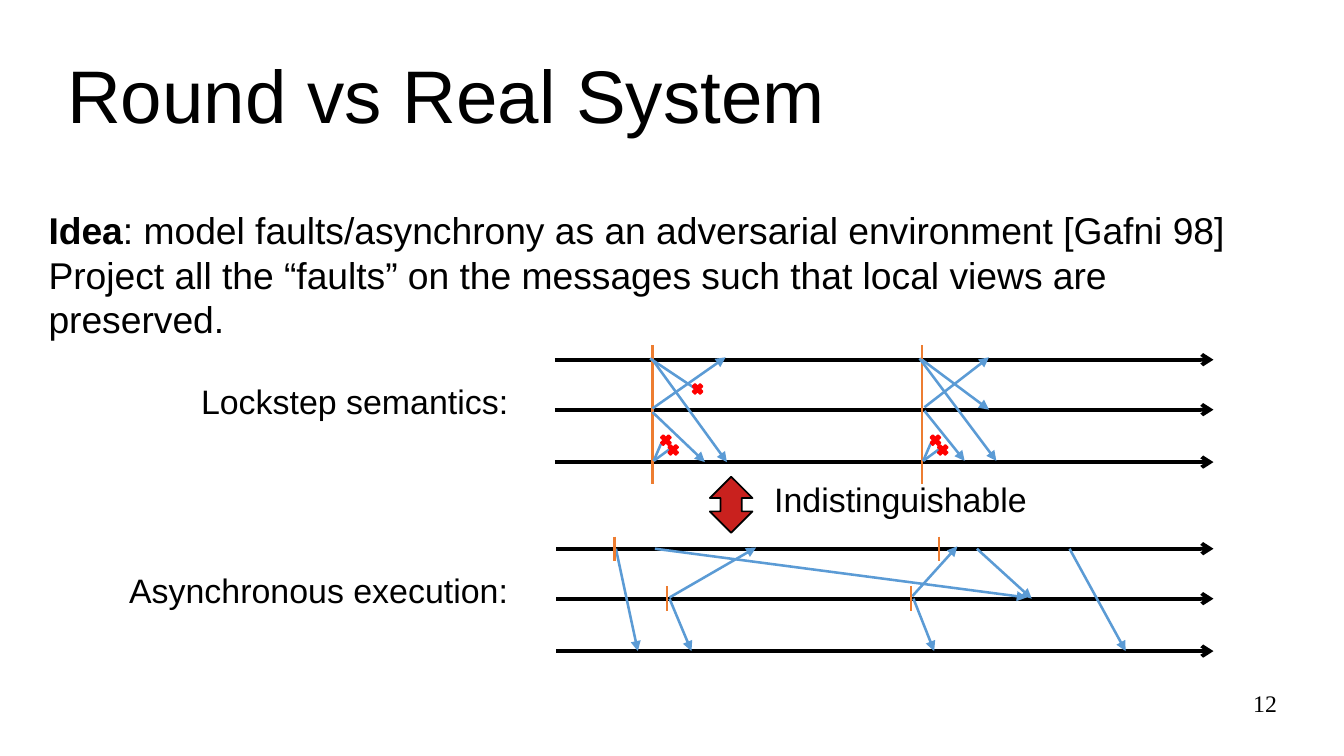
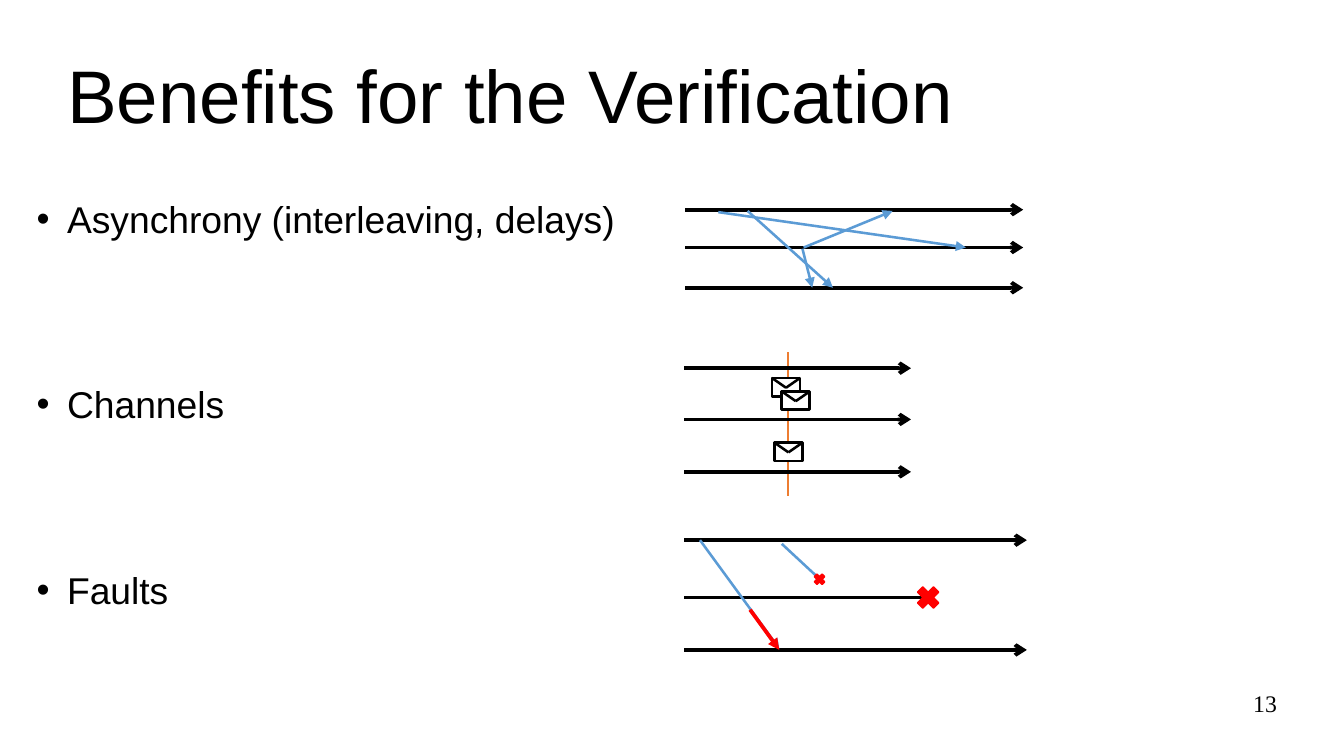
"""Build two slides on round-based models of distributed systems."""

from typing import Iterable, NamedTuple

import pptx
import pptx.dml.color
import pptx.enum.shapes
import pptx.enum.text
import pptx.util
from lxml import etree
from pptx.oxml.ns import qn

CELL = 0.1
COLUMNS, ROWS = 110.2, 62
BLACK, WHITE = "000000", "FFFFFF"
BLUE, ORANGE, RED, DARK_RED = "5B9BD5", "ED7D31", "FF0000", "C9211E"
SANS, SERIF = "Arial", "Times New Roman"
SHAPES = pptx.enum.shapes.MSO_SHAPE
ALIGN = pptx.enum.text.PP_ALIGN
TITLE_ONLY, TITLE_AND_BODY = 5, 1


class Stroke(NamedTuple):
    color: str
    width: float
    head: str = ""


class Segment(NamedTuple):
    x1: float
    y1: float
    x2: float
    y2: float


class Area(NamedTuple):
    left: float
    top: float
    width: float
    height: float


class Timelines(NamedTuple):
    left: float
    right: float
    rows: tuple[float, ...]


class Label(NamedTuple):
    text: str
    area: Area


TIMELINE = Stroke(BLACK, 2.25, "arrow")
CRASHED_TIMELINE = Stroke(BLACK, 2.25)
MESSAGE = Stroke(BLUE, 1.5, "triangle")
LOST_MESSAGE = Stroke(BLUE, 1.5)
LATE_MESSAGE = Stroke(RED, 2.25, "triangle")
ROUND_MARK = Stroke(ORANGE, 1.5)
ENVELOPE = Stroke(BLACK, 1.5)

TITLE_AREA = Area(5.5, 2.5, 99.2, 10.4)
NUMBER_AREA = Area(79, 56.5, 25.7, 4.3)
IDEA_AREA = Area(3, 16.5, 100, 11.2)
BENEFITS_AREA = Area(2, 15.6, 50, 41.7)
CROSS_SIZE = 1.2

IDEA = (
    "Idea: model faults/asynchrony as an adversarial environment [Gafni 98]",
    "Project all the “faults” on the messages such that local views are preserved.",
)
BENEFITS = ("Asynchrony (interleaving, delays)", "Channels", "Faults")
LABELS = (
    Label("Lockstep semantics:", Area(15.5, 30.7, 27.2, 4.3)),
    Label("Asynchronous execution:", Area(9.6, 46.2, 33.1, 4.3)),
    Label("Indistinguishable", Area(62.5, 38.8, 22.7, 4.3)),
)

LOCKSTEP = Timelines(45.5, 99.5, (29.5, 33.6, 37.9))
EXECUTION = Timelines(45.6, 99.5, (45, 49.1, 53.4))
ROUND_STARTS = (53.5, 75.6)
LOCKSTEP_MESSAGES = (
    Segment(53.5, 29.5, 59.6, 37.9),
    Segment(53.5, 33.5, 59.5, 29.3),
    Segment(53.5, 33.8, 57.8, 37.9),
    Segment(75.4, 29.4, 81.7, 37.8),
    Segment(75.8, 33.4, 81.1, 29.3),
    Segment(75.8, 33.7, 79.1, 37.8),
    Segment(75.6, 29.5, 81.1, 33.6),
)
LOCKSTEP_LOST = Segment(53.3, 29.4, 57.5, 32.2)
EXECUTION_MESSAGES = (
    Segment(50.5, 45, 52.3, 53.4),
    Segment(53.7, 45, 84.2, 49),
    Segment(54.9, 49.1, 56.7, 53.4),
    Segment(54.9, 49, 62, 44.9),
    Segment(74.9, 49.1, 76.6, 53.4),
    Segment(74.8, 48.9, 78.5, 44.8),
    Segment(80.1, 45, 84.6, 49.1),
    Segment(87.7, 45, 92.3, 53.4),
)
LOCAL_ROUND_STARTS = ((50.4, 45), (54.7, 49.1), (77, 45), (74.7, 49.1))

DELAYS = Timelines(56.2, 83.9, (17.2, 20.3, 23.6))
CHANNELS = Timelines(56.1, 74.7, (30.2, 34.4, 38.7))
FAULTS = Timelines(56.1, 84.2, (44.3, 53.3))
DELAYED_MESSAGES = (
    Segment(61.3, 17.3, 68.3, 23.6),
    Segment(58.9, 17.4, 79.2, 20.3),
    Segment(65.8, 20.4, 66.6, 23.6),
    Segment(65.9, 20.3, 73.2, 17.3),
)
ENVELOPE_CORNERS = ((63.3, 31), (64.1, 32.1), (63.5, 36.3))


def length(cells: float) -> int:
    """Turn a count of grid cells into a slide length."""
    return pptx.util.Inches(cells * CELL)


def paint(color_format, color: str) -> None:
    """Set a colour from a hex string."""
    color_format.rgb = pptx.dml.color.RGBColor.from_string(color)


def place(shape, area: Area) -> None:
    """Move a shape to an area of the grid."""
    shape.left, shape.top, shape.width, shape.height = map(length, area)


def style_font(font, size: float, name: str = SANS) -> None:
    """Set the size, typeface and black colour of a font."""
    font.size = pptx.util.Pt(size)
    font.name = name
    paint(font.color, BLACK)


def clear_margins(frame) -> None:
    """Remove the inner margins of a text frame."""
    frame.margin_left = frame.margin_right = frame.margin_top = frame.margin_bottom = 0


def add_text(page, text: str, area: Area, size: float, name: str = SANS, wrap: bool = True):
    """Add a text box and return its text frame."""
    frame = page.shapes.add_textbox(*map(length, area)).text_frame
    frame.text = text
    frame.word_wrap = wrap
    for paragraph in frame.paragraphs:
        for span in paragraph.runs:
            style_font(span.font, size, name)
    return frame


def add_page(deck, layout: int, title: str, number: str):
    """Add a slide with the shared title and page number."""
    page = deck.slides.add_slide(deck.slide_layouts[layout])
    heading = page.shapes.title
    place(heading, TITLE_AREA)
    frame = heading.text_frame
    frame.text = title
    frame.auto_size = pptx.enum.text.MSO_AUTO_SIZE.NONE
    frame.vertical_anchor = pptx.enum.text.MSO_ANCHOR.MIDDLE
    clear_margins(frame)
    frame.paragraphs[0].alignment = ALIGN.LEFT
    style_font(frame.paragraphs[0].runs[0].font, 44)
    frame = add_text(page, number, NUMBER_AREA, 14, SERIF)
    clear_margins(frame)
    frame.paragraphs[0].alignment = ALIGN.RIGHT
    return page


def add_lines(page, segments: Iterable[Segment], stroke: Stroke) -> None:
    """Draw straight connectors with one stroke."""
    for segment in segments:
        line = page.shapes.add_connector(
            pptx.enum.shapes.MSO_CONNECTOR.STRAIGHT, *map(length, segment)
        )
        paint(line.line.color, stroke.color)
        line.line.width = pptx.util.Pt(stroke.width)
        if stroke.head:
            outline = line.line._get_or_add_ln()
            etree.SubElement(outline, qn("a:tailEnd")).set("type", stroke.head)
        etree.SubElement(line._element.spPr, qn("a:effectLst"))


def add_timelines(page, lines: Timelines) -> None:
    """Draw one arrow for each process."""
    add_lines(page, (Segment(lines.left, y, lines.right, y) for y in lines.rows), TIMELINE)


def add_figure(page, kind, area: Area, fill: str, outline: str, width: float = 1):
    """Add a filled preset shape."""
    shape = page.shapes.add_shape(kind, *map(length, area))
    shape.shadow.inherit = False
    shape.fill.solid()
    paint(shape.fill.fore_color, fill)
    paint(shape.line.color, outline)
    shape.line.width = pptx.util.Pt(width)
    return shape


def add_cross(page, x: float, y: float, size: float = CROSS_SIZE) -> None:
    """Mark a fault with a cross centred on a point."""
    area = Area(x - size / 2, y - size / 2, size, size)
    cross = add_figure(page, SHAPES.MATH_MULTIPLY, area, RED, RED)
    cross.adjustments[0] = 0.235


def add_lost_pair(page, x: float) -> None:
    """Draw the two lost messages at the start of a round."""
    start = 37.8
    ends = ((x + 0.7, 36.4), (x + 1.6, 36.7))
    add_lines(page, (Segment(x + 0.1, start, *end) for end in ends), LOST_MESSAGE)
    add_cross(page, x + 1.7, 36.9)
    add_cross(page, x + 1.1, 36.1)


def add_envelope(page, x: float, y: float) -> None:
    """Draw an envelope from its top left corner."""
    width, height, fold = 2.3, 1.5, 0.8
    add_figure(page, SHAPES.RECTANGLE, Area(x, y, width, height), WHITE, BLACK, ENVELOPE.width)
    middle = x + width / 2
    flaps = (Segment(x, y, middle, y + fold), Segment(middle, y + fold, x + width, y))
    add_lines(page, flaps, ENVELOPE)


def build_comparison(deck) -> None:
    """Build the slide that compares rounds with real executions."""
    page = add_page(deck, TITLE_ONLY, "Round vs Real System", "12")
    for label in LABELS:
        add_text(page, label.text, label.area, 20, wrap=False)
    frame = add_text(page, "\n".join(IDEA), IDEA_AREA, 22)
    opening = frame.paragraphs[0]
    lead, rest = opening.runs[0], opening.add_run()
    head, colon, tail = lead.text.partition(":")
    lead.text, rest.text = head, colon + tail
    style_font(rest.font, 22)
    lead.font.bold = True

    add_timelines(page, LOCKSTEP)
    add_lines(page, (Segment(x, 28.3, x, 39.7) for x in ROUND_STARTS), ROUND_MARK)
    add_lines(page, LOCKSTEP_MESSAGES, MESSAGE)
    add_lines(page, [LOCKSTEP_LOST], LOST_MESSAGE)
    add_cross(page, 57.2, 31.9)
    for x in ROUND_STARTS:
        add_lost_pair(page, x)

    add_figure(page, SHAPES.UP_DOWN_ARROW, Area(58.2, 39.1, 3.5, 4.6), DARK_RED, BLACK)

    add_timelines(page, EXECUTION)
    add_lines(page, EXECUTION_MESSAGES, MESSAGE)
    marks = (Segment(x, y - 1, x, y + 1) for x, y in LOCAL_ROUND_STARTS)
    add_lines(page, marks, ROUND_MARK)


def build_benefits(deck) -> None:
    """Build the slide that lists the benefits for verification."""
    page = add_page(deck, TITLE_AND_BODY, "Benefits for the Verification", "13")
    body = page.placeholders[1]
    place(body, BENEFITS_AREA)
    frame = body.text_frame
    frame.text = "\n".join(BENEFITS)
    frame.auto_size = pptx.enum.text.MSO_AUTO_SIZE.NONE
    for position, paragraph in enumerate(frame.paragraphs):
        properties = paragraph._p.get_or_add_pPr()
        properties.set("marL", str(length(2.5)))
        properties.set("indent", str(-length(2.5)))
        paragraph.space_before = pptx.util.Pt(83 if position else 0)
        style_font(paragraph.runs[0].font, 22)

    add_timelines(page, DELAYS)
    add_lines(page, DELAYED_MESSAGES, MESSAGE)

    add_lines(page, [Segment(64.6, 28.9, 64.6, 40.7)], ROUND_MARK)
    add_timelines(page, CHANNELS)
    for corner in ENVELOPE_CORNERS:
        add_envelope(page, *corner)

    add_timelines(page, FAULTS)
    add_lines(page, [Segment(FAULTS.left, 49, 76.1, 49)], CRASHED_TIMELINE)
    add_cross(page, 76.1, 49, 2.5)
    add_lines(page, [Segment(64.1, 44.6, 66.9, 47.2)], LOST_MESSAGE)
    add_cross(page, 67.2, 47.5)
    add_lines(page, [Segment(57.4, 44.3, 63.9, 53.2)], MESSAGE)
    add_lines(page, [Segment(61.5, 50, 63.9, 53.3)], LATE_MESSAGE)


def main() -> None:
    """Build and save the deck."""
    deck = pptx.Presentation()
    deck.slide_width, deck.slide_height = length(COLUMNS), length(ROWS)
    build_comparison(deck)
    build_benefits(deck)
    deck.save("out.pptx")


if __name__ == "__main__":
    main()
